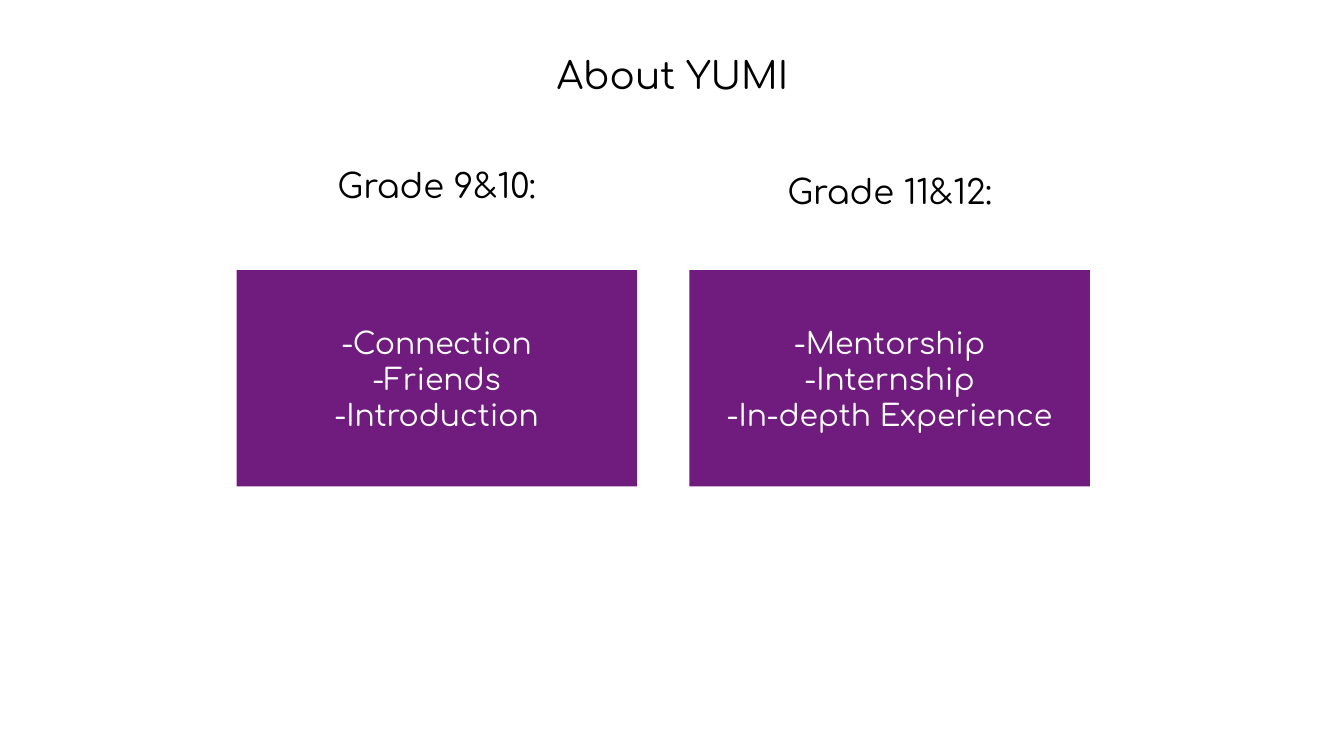
from pptx import Presentation
from pptx.dml.color import RGBColor
from pptx.enum.shapes import MSO_SHAPE
from pptx.enum.text import MSO_ANCHOR, PP_ALIGN
from pptx.util import Pt

RECTANGLE = MSO_SHAPE.RECTANGLE
TOP, MIDDLE = MSO_ANCHOR.TOP, MSO_ANCHOR.MIDDLE
CENTER = PP_ALIGN.CENTER

TITLE = "About YUMI"
GRADES = [
    {"heading": "Grade 9&10:", "heading_top": 81.36,
     "items": ["-Connection", "-Friends", "-Introduction"]},
    {"heading": "Grade 11&12:", "heading_top": 84.24,
     "items": ["-Mentorship", "-Internship", "-In-depth Experience"]},
]

COLORS = {"background": "FFFFFF", "text": "000000",
          "card": "701C7F", "card_text": "FFFFFF"}
FONT = "Comfortaa"
INSET = 7.2

CARD_LEFT, CARD_TOP = 126.72, 144.72
CARD_WIDTH, CARD_HEIGHT = 214.56, 115.92
COLUMN_STEP = 242.64
HEADING_WIDTH, HEADING_HEIGHT = 252.72, 36


def color(name):
    return RGBColor.from_string(COLORS[name])


def write(shape, lines, size, ink="text", anchor=TOP):
    frame = shape.text_frame
    frame.word_wrap = True
    frame.vertical_anchor = anchor
    frame.margin_left = frame.margin_right = Pt(INSET)
    frame.margin_top = frame.margin_bottom = Pt(INSET)
    for index, line in enumerate(lines):
        para = frame.add_paragraph() if index else frame.paragraphs[0]
        para.alignment = CENTER
        para.space_before = para.space_after = Pt(0)
        para.line_spacing = 1.0
        span = para.add_run()
        span.text = line
        span.font.name = FONT
        span.font.size = Pt(size)
        span.font.color.rgb = color(ink)


deck = Presentation()
deck.slide_width, deck.slide_height = Pt(720), Pt(405)
page = deck.slides.add_slide(deck.slide_layouts[5])
page.background.fill.solid()
page.background.fill.fore_color.rgb = color("background")

title = page.shapes.title
title.left, title.top = Pt(241.92), Pt(20.88)
title.width, title.height = Pt(236.88), Pt(38.88)
write(title, [TITLE], 20)

for column, grade in enumerate(GRADES):
    left = CARD_LEFT + column * COLUMN_STEP
    heading_left = left + (CARD_WIDTH - HEADING_WIDTH) / 2
    heading = page.shapes.add_textbox(
        Pt(heading_left), Pt(grade["heading_top"]),
        Pt(HEADING_WIDTH), Pt(HEADING_HEIGHT))
    write(heading, [grade["heading"]], 18)

    card = page.shapes.add_shape(
        RECTANGLE, Pt(left), Pt(CARD_TOP), Pt(CARD_WIDTH), Pt(CARD_HEIGHT))
    card.shadow.inherit = False
    card.fill.solid()
    card.fill.fore_color.rgb = color("card")
    card.line.fill.background()
    write(card, grade["items"], 16, ink="card_text", anchor=MIDDLE)

deck.save("out.pptx")
